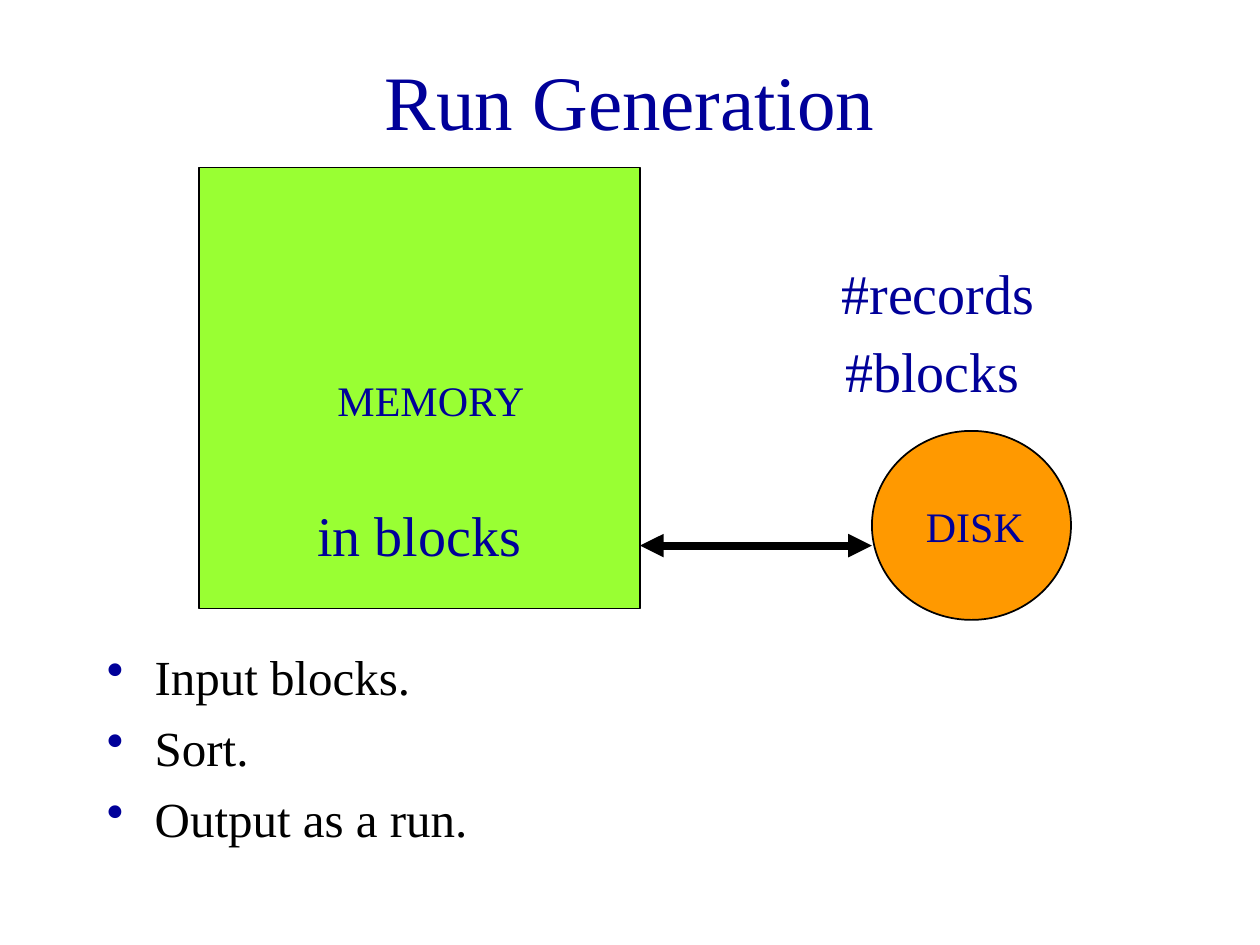
"""Build the Run Generation slide: memory, disk and the steps of a run."""
import pptx
import pptx.dml.color
import pptx.enum.shapes
import pptx.enum.text
import pptx.oxml.ns
import pptx.util
from lxml import etree

Inches, Pt = pptx.util.Inches, pptx.util.Pt
RGBColor = pptx.dml.color.RGBColor
SHAPE = pptx.enum.shapes.MSO_SHAPE
qn = pptx.oxml.ns.qn

FONT = "Times New Roman"
NAVY = RGBColor(0x00, 0x00, 0x99)
BLACK = RGBColor(0x00, 0x00, 0x00)
GREEN = RGBColor(0x99, 0xFF, 0x33)
ORANGE = RGBColor(0xFF, 0x99, 0x00)

TITLE = "Run Generation"
TITLE_BOX = (0.75, 0.17, 8.5, 1.25)
STEPS = ["Input blocks.", "Sort.", "Output as a run."]
STEPS_BOX = (0.75, 5.08, 4.17, 2.42)
MEMORY_BOX = (1.58, 1.33, 3.5, 3.5)
DISK_BOX = (6.92, 3.42, 1.58, 1.5)
DEVICES = [(SHAPE.RECTANGLE, MEMORY_BOX, GREEN), (SHAPE.OVAL, DISK_BOX, ORANGE)]
TRANSFER_Y = 4.33
LABELS = [
    ("DISK", (7.25, 3.92, 1.33, 0.5), 24),
    ("MEMORY", (2.58, 2.92, 1.75, 0.5), 24),
    ("#records", (6.58, 2, 3.42, 0.63), 32),
    ("in blocks", (2.42, 3.92, 1.92, 0.63), 32),
    ("#blocks", (6.61, 2.62, 2.33, 0.63), 32),
]


def inches(box):
    return [Inches(length) for length in box]


def style(paragraph, size, color):
    for run in paragraph.runs:
        run.font.name = FONT
        run.font.size = Pt(size)
        run.font.color.rgb = color


def add_text(slide, text, box, size, color):
    frame = slide.shapes.add_textbox(*inches(box)).text_frame
    frame.word_wrap = True
    frame.text = text
    for paragraph in frame.paragraphs:
        style(paragraph, size, color)
    return frame


def add_title(slide):
    title = slide.shapes.title
    title.left, title.top, title.width, title.height = inches(TITLE_BOX)
    title.text_frame.text = TITLE
    title.text_frame.vertical_anchor = pptx.enum.text.MSO_ANCHOR.MIDDLE
    heading = title.text_frame.paragraphs[0]
    heading.alignment = pptx.enum.text.PP_ALIGN.CENTER
    style(heading, 44, NAVY)


def add_steps(slide):
    frame = add_text(slide, "\n".join(STEPS), STEPS_BOX, 28, BLACK)
    for index, step in enumerate(frame.paragraphs):
        properties = step._p.get_or_add_pPr()
        properties.set("marL", str(Inches(0.38)))
        properties.set("indent", str(-Inches(0.38)))
        bullet_color = etree.SubElement(properties, qn("a:buClr"))
        etree.SubElement(bullet_color, qn("a:srgbClr"), val=str(NAVY))
        etree.SubElement(properties, qn("a:buChar"), char="•")
        if index:
            step.space_before = Pt(7)


def add_device(slide, kind, box, color):
    device = slide.shapes.add_shape(kind, *inches(box))
    device.shadow.inherit = False
    device.fill.solid()
    device.fill.fore_color.rgb = color
    device.line.color.rgb = BLACK
    device.line.width = Pt(1)


def add_transfer(slide):
    memory_right = MEMORY_BOX[0] + MEMORY_BOX[2]
    ends = inches((memory_right, TRANSFER_Y, DISK_BOX[0], TRANSFER_Y))
    transfer = slide.shapes.add_connector(
        pptx.enum.shapes.MSO_CONNECTOR.STRAIGHT, *ends)
    transfer.line.color.rgb = BLACK
    transfer.line.width = Pt(4.5)
    outline = transfer.line._get_or_add_ln()
    for end in ("a:headEnd", "a:tailEnd"):
        etree.SubElement(outline, qn(end), type="triangle")
    etree.SubElement(transfer._element.spPr, qn("a:effectLst"))


def main():
    deck = pptx.Presentation()
    deck.slide_width, deck.slide_height = Inches(10), Inches(7.5)
    slide = deck.slides.add_slide(deck.slide_layouts.get_by_name("Title Only"))
    add_title(slide)
    add_steps(slide)
    for kind, box, color in DEVICES:
        add_device(slide, kind, box, color)
    add_transfer(slide)
    for text, box, size in LABELS:
        add_text(slide, text, box, size, NAVY)
    deck.save("out.pptx")


if __name__ == "__main__":
    main()
